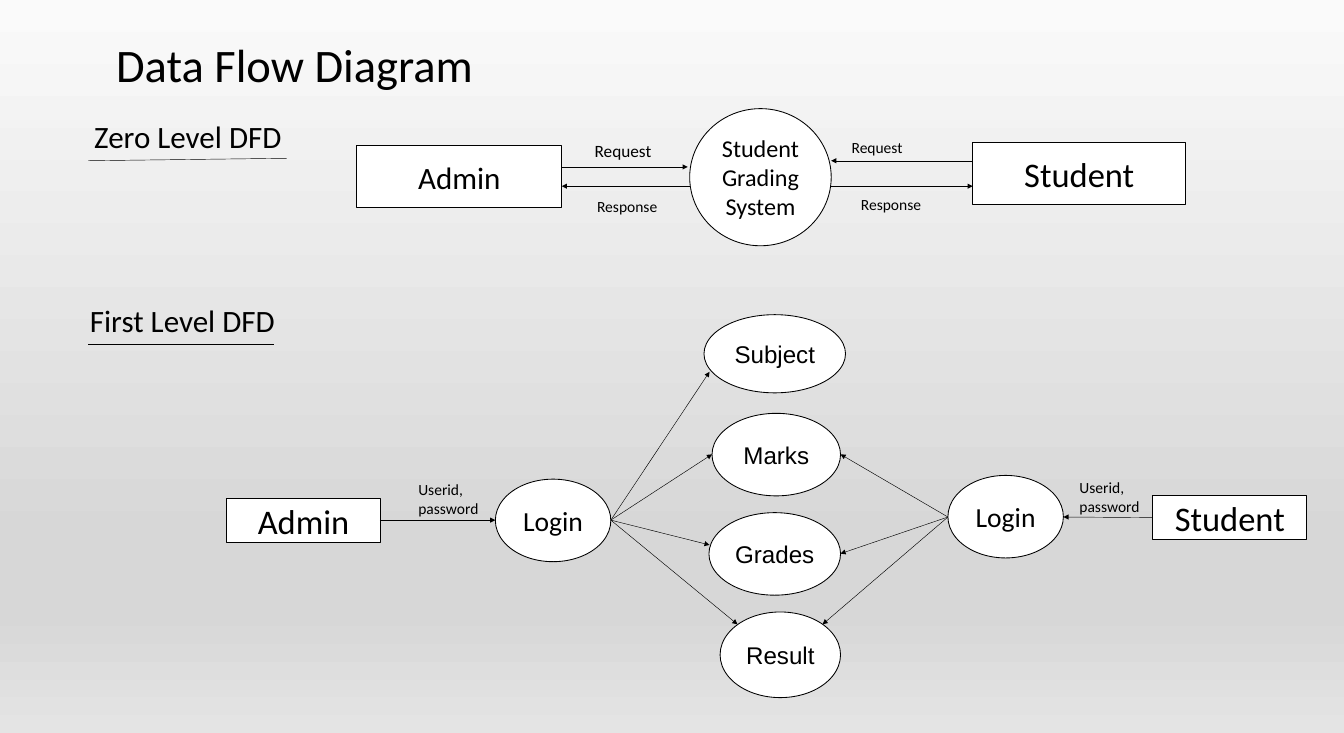
from dataclasses import dataclass

from lxml import etree
from pptx import Presentation
from pptx.dml.color import RGBColor
from pptx.enum.shapes import MSO_CONNECTOR, MSO_SHAPE
from pptx.enum.text import MSO_ANCHOR, MSO_AUTO_SIZE, PP_ALIGN
from pptx.oxml.ns import qn
from pptx.util import Emu, Pt

PX = 9144  # 100 px to the inch
BLACK = RGBColor(0x00, 0x00, 0x00)
WHITE = RGBColor(0xFF, 0xFF, 0xFF)
BACKDROP = [
    (0, RGBColor(0xFA, 0xFA, 0xFA)),
    (74, RGBColor(0xD7, 0xD7, 0xD7)),
    (83, RGBColor(0xD7, 0xD7, 0xD7)),
    (100, RGBColor(0xE4, 0xE4, 0xE4)),
]
ENTITY = MSO_SHAPE.RECTANGLE
PROCESS = MSO_SHAPE.FLOWCHART_CONNECTOR


def px(length):
    return Emu(length * PX)


def write(frame, text, size, align, font="Calibri"):
    frame.text = text
    for paragraph in frame.paragraphs:
        paragraph.alignment = align
        for run in paragraph.runs:
            run.font.size = Pt(size)
            run.font.name = font
            run.font.color.rgb = BLACK


@dataclass
class Region:
    """Area of the slide; all parts are placed relative to its top left."""
    slide: object
    left: int
    top: int

    def box(self, x, y, width, height):
        return px(self.left + x), px(self.top + y), px(width), px(height)

    def label(self, text, size, *box):
        frame = self.slide.shapes.add_textbox(*self.box(*box)).text_frame
        frame.word_wrap = True
        frame.auto_size = MSO_AUTO_SIZE.SHAPE_TO_FIT_TEXT
        write(frame, text, size, PP_ALIGN.LEFT)

    def node(self, kind, text, size, *box, font="Calibri"):
        node = self.slide.shapes.add_shape(kind, *self.box(*box))
        node.shadow.inherit = False
        node.fill.solid()
        node.fill.fore_color.rgb = WHITE
        node.line.color.rgb = BLACK
        node.line.width = Pt(1)
        node.text_frame.vertical_anchor = MSO_ANCHOR.MIDDLE
        write(node.text_frame, text, size, PP_ALIGN.CENTER, font)

    def line(self, start, end):
        ends = [px(edge + offset) for point in (start, end)
                for edge, offset in zip((self.left, self.top), point)]
        line = self.slide.shapes.add_connector(MSO_CONNECTOR.STRAIGHT, *ends)
        line.line.color.rgb = BLACK
        line.line.width = Pt(0.5)
        etree.SubElement(line.element.spPr, qn("a:effectLst"))
        return line

    def arrow(self, start, end):
        outline = self.line(start, end).element.spPr.find(qn("a:ln"))
        etree.SubElement(outline, qn("a:tailEnd"), type="triangle")


def paint_background(slide):
    fill = slide.background.fill
    fill.gradient()
    fill.gradient_angle = 270  # counter-clockwise: top to bottom
    stops = slide.element.find(".//" + qn("a:gsLst"))
    for stop in list(stops):
        stops.remove(stop)
    for percent, color in BACKDROP:
        stop = etree.SubElement(stops, qn("a:gs"), pos=str(percent * 1000))
        etree.SubElement(stop, qn("a:srgbClr"), val=str(color))


def place_title(slide, left, top, width, height):
    title = slide.shapes.title
    title.left, title.top = px(left), px(top)
    title.width, title.height = px(width), px(height)
    frame = title.text_frame
    frame.word_wrap = True
    frame.auto_size = MSO_AUTO_SIZE.SHAPE_TO_FIT_TEXT
    frame.vertical_anchor = MSO_ANCHOR.TOP
    write(frame, "Data Flow Diagram", 54, PP_ALIGN.LEFT)


def draw_zero_level(region):
    region.label("Zero Level DFD", 36, 0, 10, 440, 71)
    region.line((0, 84), (320, 80))

    region.node(ENTITY, "Admin", 36, 433, 59, 330, 101)
    region.node(ENTITY, "Student", 40, 1425, 54, 343, 101)
    region.node(PROCESS, "Student\nGrading\nSystem", 28, 969, 0, 228, 221)

    region.arrow((763, 94), (966, 94))
    region.arrow((969, 125), (763, 125))
    region.arrow((1425, 84), (1197, 84))
    region.arrow((1196, 125), (1425, 125))

    region.label("Request", 20, 806, 46, 121, 44)
    region.label("Response", 18, 810, 138, 159, 40)
    region.label("Request", 18, 1220, 43, 221, 40)
    region.label("Response", 18, 1235, 134, 153, 40)


def draw_first_level(region):
    region.label("First Level DFD", 36, 0, 0, 440, 71)
    region.line((7, 73), (306, 73))

    records = [
        ("Subject", 999, 26, 228, 126),
        ("Marks", 1012, 185, 207, 133),
        ("Grades", 1007, 345, 212, 133),
        ("Result", 1025, 505, 194, 138),
    ]
    for name, *box in records:
        region.node(PROCESS, name, 28, *box, font="Arial")

    region.node(ENTITY, "Admin", 40, 230, 322, 248, 71)
    region.node(ENTITY, "Student", 40, 1722, 317, 248, 71)
    for x, y in [(663, 291), (1392, 285)]:
        region.node(PROCESS, "Login", 32, x, y, 186, 133)

    region.arrow((477, 357), (663, 357))
    region.arrow((1722, 353), (1578, 352))
    admin_login, student_login = (849, 357), (1392, 352)
    for record in [(1008, 118), (1012, 251), (1008, 397), (1053, 525)]:
        region.arrow(admin_login, record)
    for record in [(1219, 251), (1219, 411), (1190, 525)]:
        region.arrow(student_login, record)

    for x, y, width in [(529, 288, 136), (1594, 285, 144)]:
        region.label("Userid,\npassword", 18, x, y, width, 71)


def main():
    deck = Presentation()
    deck.slide_width, deck.slide_height = px(2165), px(1181)
    title_only = deck.slide_layouts[5]
    slide = deck.slides.add_slide(title_only)
    paint_background(slide)
    place_title(slide, 177, 53, 932, 101)
    draw_zero_level(Region(slide, 142, 175))
    draw_first_level(Region(slide, 135, 481))
    deck.save("out.pptx")


if __name__ == "__main__":
    main()
